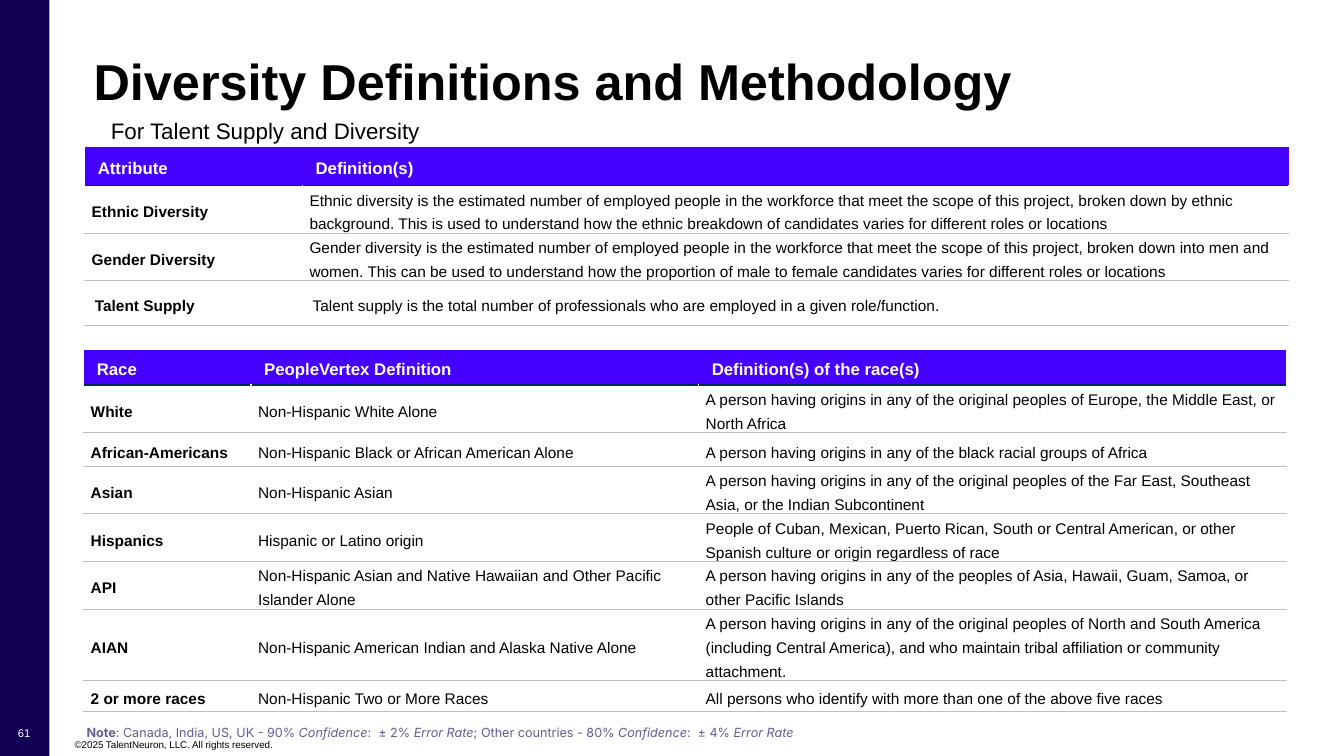
from lxml import etree
from pptx import Presentation
from pptx import util as u
from pptx.dml.color import RGBColor
from pptx.enum import shapes, text
from pptx.oxml import ns

HUES = {"side": "120055", "head": "4500FF", "navy": "002856", "rule": "BFBFBF",
        "white": "FFFFFF", "black": "000000", "note": "625F98"}
MID, TOP, LOW = (text.MSO_ANCHOR.MIDDLE, text.MSO_ANCHOR.TOP,
                 text.MSO_ANCHOR.BOTTOM)

TERMS = [
    ("Attribute", "Definition(s)"),
    ("Ethnic Diversity", "Ethnic diversity is the estimated number of employed people in the workforce that meet the scope of this project, broken down by ethnic background. This is used to understand how the ethnic breakdown of candidates varies for different roles or locations"),
    ("Gender Diversity", "Gender diversity is the estimated number of employed people in the workforce that meet the scope of this project, broken down into men and women. This can be used to understand how the proportion of male to female candidates varies for different roles or locations"),
    ("Talent Supply", "Talent supply is the total number of professionals who are employed in a given role/function."),
]
RACES = [
    ("Race", "PeopleVertex Definition", "Definition(s) of the race(s)"),
    ("White", "Non-Hispanic White Alone", "A person having origins in any of the original peoples of Europe, the Middle East, or North Africa"),
    ("African-Americans", "Non-Hispanic Black or African American Alone", "A person having origins in any of the black racial groups of Africa"),
    ("Asian", "Non-Hispanic Asian", "A person having origins in any of the original peoples of the Far East, Southeast Asia, or the Indian Subcontinent"),
    ("Hispanics", "Hispanic or Latino origin", "People of Cuban, Mexican, Puerto Rican, South or Central American, or other Spanish culture or origin regardless of race"),
    ("API", "Non-Hispanic Asian and Native Hawaiian and Other Pacific Islander Alone", "A person having origins in any of the peoples of Asia, Hawaii, Guam, Samoa, or other Pacific Islands"),
    ("AIAN", "Non-Hispanic American Indian and Alaska Native Alone", "A person having origins in any of the original peoples of North and South America (including Central America), and who maintain tribal affiliation or community attachment."),
    ("2 or more races", "Non-Hispanic Two or More Races", "All persons who identify with more than one of the above five races"),
]
# Note runs: text, bold, italic
NOTE = [
    ("Note", True, False),
    (": Canada, India, US, UK - 90% ", False, False),
    ("Confidence", False, True), (":\u00a0 ± 2% ", False, False),
    ("Error Rate", False, True), ("; Other countries - 80% ", False, False),
    ("Confidence", False, True), (":\u00a0 ± 4% ", False, False),
    ("Error Rate", False, True),
]


def tint(hue):
    return RGBColor.from_string(HUES[hue])


def style(font, size, hue, bold=False, face="Arial"):
    font.name, font.size, font.bold = face, u.Pt(size), bold
    font.color.rgb = tint(hue)


def inset(item, left, top, right, low):
    item.margin_left, item.margin_top = u.Inches(left), u.Inches(top)
    item.margin_right, item.margin_bottom = u.Inches(right), u.Inches(low)


def label(slide, box, words, size, hue="black", pads=(0.1, 0.05, 0.1, 0),
          anchor=TOP, bold=False):
    frame = slide.shapes.add_textbox(*map(u.Inches, box)).text_frame
    frame.word_wrap, frame.vertical_anchor = True, anchor
    inset(frame, *pads)
    para = frame.paragraphs[0]
    para.text = words
    style(para.font, size, hue, bold)
    return para


def sidebar(slide, box):
    x, y, wide, high = box
    bar = slide.shapes.add_shape(shapes.MSO_SHAPE.RECTANGLE, *map(u.Inches, box))
    bar.shadow.inherit = False
    bar.fill.solid()
    bar.fill.fore_color.rgb = tint("side")
    bar.line.fill.background()
    page = label(slide, (x + 0.05, y + high - 0.39, 0.38, 0.33), "61", 8,
                 "white", (0, 0, 0, 0), MID)
    page.alignment = text.PP_ALIGN.CENTER


def heading(slide, box):
    x, y, wide, high = box
    title = label(slide, (x, y, wide, 0.71),
                  "Diversity Definitions and Methodology", 36,
                  pads=(0.1, 0.23, 0.1, 0), bold=True)
    sub = label(slide, (x + 0.17, y + 0.69, wide, 0.37),
                "For Talent Supply and Diversity", 16,
                pads=(0.1, 0.16, 0.1, 0))
    title.line_spacing = sub.line_spacing = 0.9


def border(cell, side, hue, width):
    line = etree.SubElement(cell._tc.get_or_add_tcPr(), ns.qn("a:ln" + side),
                            w=str(u.Pt(width)))
    if hue is None:
        etree.SubElement(line, ns.qn("a:noFill"))
        return
    fill = etree.SubElement(line, ns.qn("a:solidFill"))
    etree.SubElement(fill, ns.qn("a:srgbClr"), val=HUES[hue])


def fill_cell(cell, words, row, col, pad):
    head = row == 0
    cell.vertical_anchor = MID
    inset(cell, pad, 0, 0.07, 0)
    para = cell.text_frame.paragraphs[0]
    para.text = words
    para.line_spacing = u.Pt(17)
    style(para.runs[0].font, 12 if head else 11,
          "white" if head else "black", head or col == 0)
    # Borders come before the fill
    for side in "LR":
        border(cell, side, None if head else "white", 1)
    border(cell, "T", None if head else "navy" if row == 1 else "rule",
           1 if row == 1 else 0.5)
    border(cell, "B", "navy" if head else "rule", 1 if head else 0.5)
    if head:
        cell.fill.solid()
        cell.fill.fore_color.rgb = tint("head")
    else:
        cell.fill.background()


def grid(slide, box, rows, wides, highs, pads):
    """Table whose left cell padding per row comes from pads, else 0.07."""
    table = slide.shapes.add_table(len(rows), len(wides),
                                   *map(u.Inches, box)).table
    table.first_row = table.horz_banding = False
    for col, wide in zip(table.columns, wides):
        col.width = u.Inches(wide)
    for row, high in zip(table.rows, highs):
        row.height = u.Inches(high)
    for r, row in enumerate(rows):
        for c, words in enumerate(row):
            fill_cell(table.cell(r, c), words, r, c, pads.get(r, 0.07))


def footer(slide, box):
    x, y, wide, high = box
    label(slide, (x, y + 0.21, 7.99, 0.12),
          "©2025 TalentNeuron, LLC. All rights reserved.", 7,
          pads=(0.03, 0, 0, 0), anchor=LOW)
    note = label(slide, (x + 0.05, y, wide, high), "", 9,
                 pads=(0.1, 0.1, 0.1, 0))
    note.line_spacing = 0.9
    for words, bold, slant in NOTE:
        run = note.add_run()
        run.text = words
        style(run.font, 9, "note", bold, "Inter")
        run.font.italic = slant


def main():
    deck = Presentation()
    deck.slide_width, deck.slide_height = u.Inches(13.33), u.Inches(7.5)
    slide = deck.slides.add_slide(deck.slide_layouts[6])
    sidebar(slide, (0, 0, 0.49, 7.5))
    heading(slide, (0.83, 0.34, 12.09, 1.06))
    footer(slide, (0.71, 7.11, 12.09, 0.45))
    # Races below, attributes above
    grid(slide, (0.83, 3.47, 11.93, 3.58), RACES, (1.66, 4.44, 5.83),
         (0.35, 0.47, 0.33, 0.47, 0.47, 0.47, 0.71, 0.31), {0: 0.13})
    grid(slide, (0.84, 1.46, 11.94, 1.76), TERMS, (2.16, 9.78),
         (0.38, 0.47, 0.47, 0.44), {0: 0.13, 3: 0.1})
    deck.save("out.pptx")


if __name__ == "__main__":
    main()
